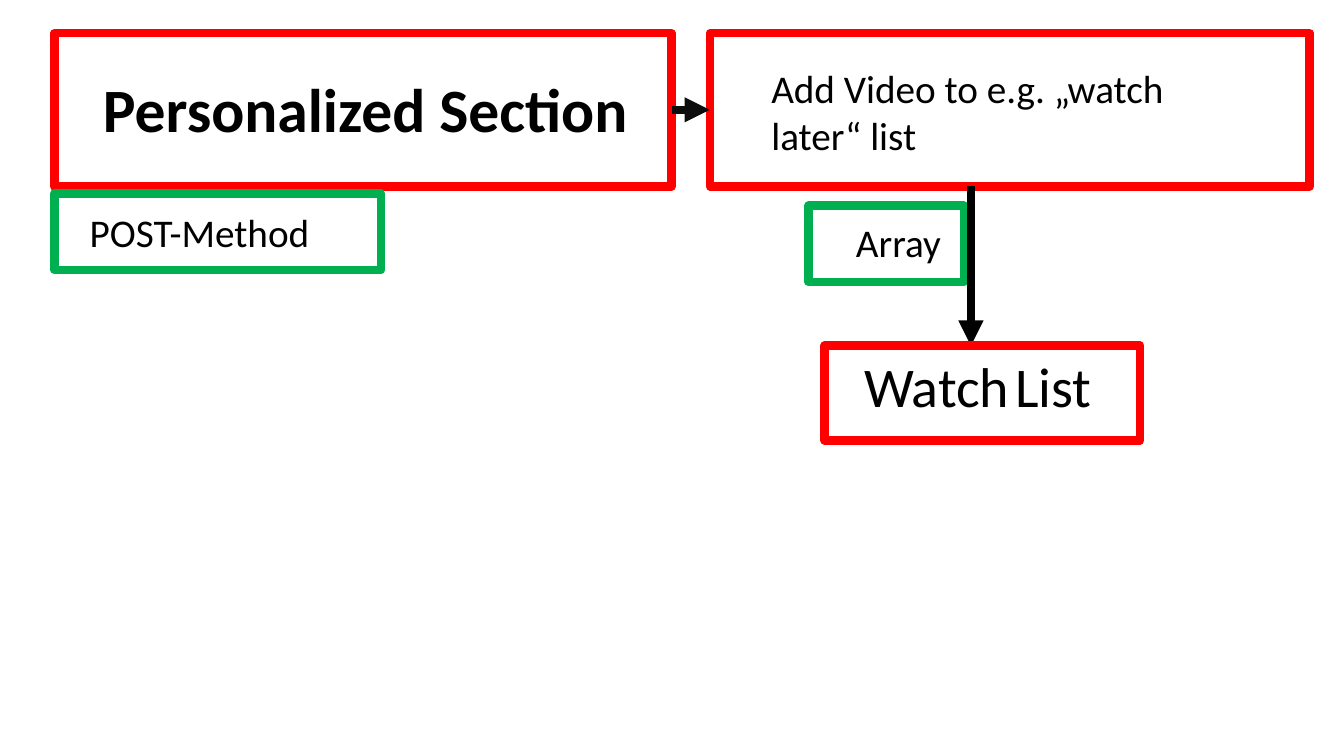
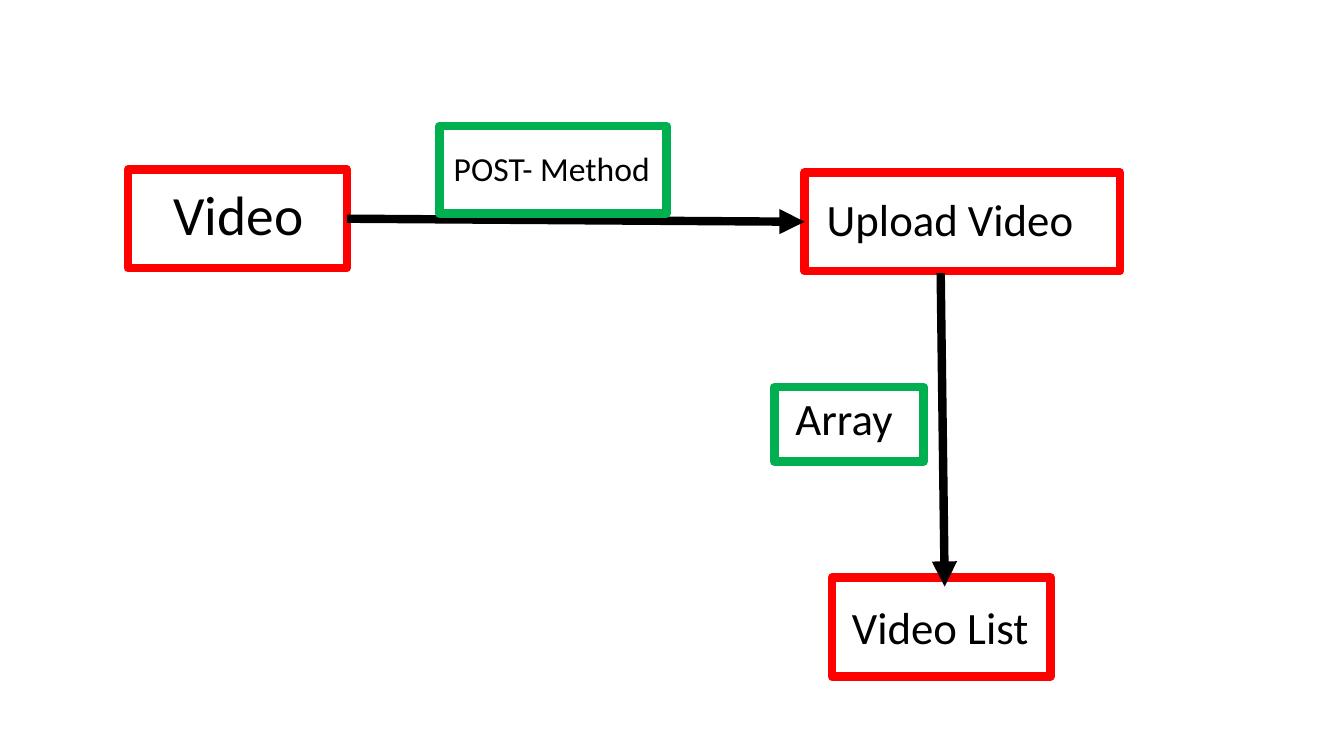
from dataclasses import dataclass

from lxml import etree
from pptx import Presentation
from pptx.dml.color import RGBColor
from pptx.enum.shapes import MSO_CONNECTOR, MSO_SHAPE
from pptx.enum.text import MSO_ANCHOR, PP_ALIGN
from pptx.oxml.ns import qn
from pptx.util import Inches, Pt

FONT = "Calibri"
BLACK, NEAR_BLACK = "000000", "0D0D0D"
PAGE, METHOD = "FF0000", "00B050"
LINE_WIDTH = 6


@dataclass
class Box:
    """A framed label; inset is the text's left and top distance from the frame."""
    text: object
    frame: tuple
    inset: tuple
    size: float = 28
    color: str = PAGE
    bold: bool = False
    spacing: float = 1.0
    right: float = 0


@dataclass
class Arrow:
    start: tuple
    end: tuple
    color: str = BLACK


# Parts run from back to front; text is a string or a list of (text, size) runs.
SLIDES = [
    [
        Box("Personalized Section", (0.54, 0.33, 6.12, 1.52), (0.48, 0.46), 44,
            bold=True, spacing=0.9),
        Box("POST-Method", (0.54, 1.92, 3.24, 0.76), (0.35, 0.15), color=METHOD),
        Box("Add Video to e.g. „watch later“ list", (7.04, 0.33, 5.95, 1.52),
            (0.61, 0.31), right=0.68),
        Arrow((6.67, 1.09), (7.04, 1.09), NEAR_BLACK),
        Box("Array", (8.02, 2.04, 1.54, 0.76), (0.47, 0.13), color=METHOD),
        Arrow((9.63, 1.85), (9.63, 3.43)),
        Box([("Watch", 40), (" ", 18), ("List", 40)], (8.18, 3.43, 3.13, 0.94),
            (0.39, 0.06)),
    ],
    [
        Box("Video", (1.27, 1.68, 2.17, 0.98), (0.45, 0.18), 39.6, spacing=0.9),
        Box("Upload Video", (7.98, 1.71, 3.13, 0.98), (0.22, 0.19), 32),
        Box("Array", (7.68, 3.84, 1.48, 0.74), (0.21, 0.04), 32, METHOD),
        Box("Video List", (8.25, 5.73, 2.17, 0.98), (0.2, 0.22), 32),
        Arrow((3.44, 2.17), (7.98, 2.2)),
        Arrow((9.33, 2.71), (9.37, 5.82)),
        Box("POST- Method", (4.36, 1.25, 2.25, 0.87), (0.14, 0.22), 24, METHOD),
    ],
]


def rgb(value):
    return RGBColor.from_string(value)


def style_line(line, color):
    line.color.rgb = rgb(color)
    line.width = Pt(LINE_WIDTH)


def write(paragraph, text, size=28, color=BLACK, bold=False, spacing=1.0):
    paragraph.alignment = PP_ALIGN.LEFT
    paragraph.line_spacing = spacing
    runs = [(text, size)] if isinstance(text, str) else text
    for words, points in runs:
        run = paragraph.add_run()
        run.text = words
        run.font.name = FONT
        run.font.size = Pt(points)
        run.font.bold = bold
        run.font.color.rgb = rgb(color)


def add_box(slide, box):
    shape = slide.shapes.add_shape(MSO_SHAPE.RECTANGLE, *map(Inches, box.frame))
    shape.shadow.inherit = False
    shape.fill.background()
    style_line(shape.line, box.color)
    frame = shape.text_frame
    frame.word_wrap = True
    frame.vertical_anchor = MSO_ANCHOR.TOP
    frame.margin_left, frame.margin_top = map(Inches, box.inset)
    frame.margin_right, frame.margin_bottom = Inches(box.right), 0
    write(frame.paragraphs[0], box.text, size=box.size, bold=box.bold,
          spacing=box.spacing)


def add_arrow(slide, arrow):
    connector = slide.shapes.add_connector(
        MSO_CONNECTOR.STRAIGHT, *map(Inches, arrow.start + arrow.end))
    style_line(connector.line, arrow.color)
    properties = connector._element.spPr
    etree.SubElement(properties.find(qn("a:ln")), qn("a:tailEnd"), type="triangle")
    etree.SubElement(properties, qn("a:effectLst"))


def main():
    deck = Presentation()
    deck.slide_width, deck.slide_height = Inches(13.33), Inches(7.5)
    for parts in SLIDES:
        slide = deck.slides.add_slide(deck.slide_layouts[6])
        for part in parts:
            if isinstance(part, Box):
                add_box(slide, part)
            else:
                add_arrow(slide, part)
    deck.save("out.pptx")


if __name__ == "__main__":
    main()
